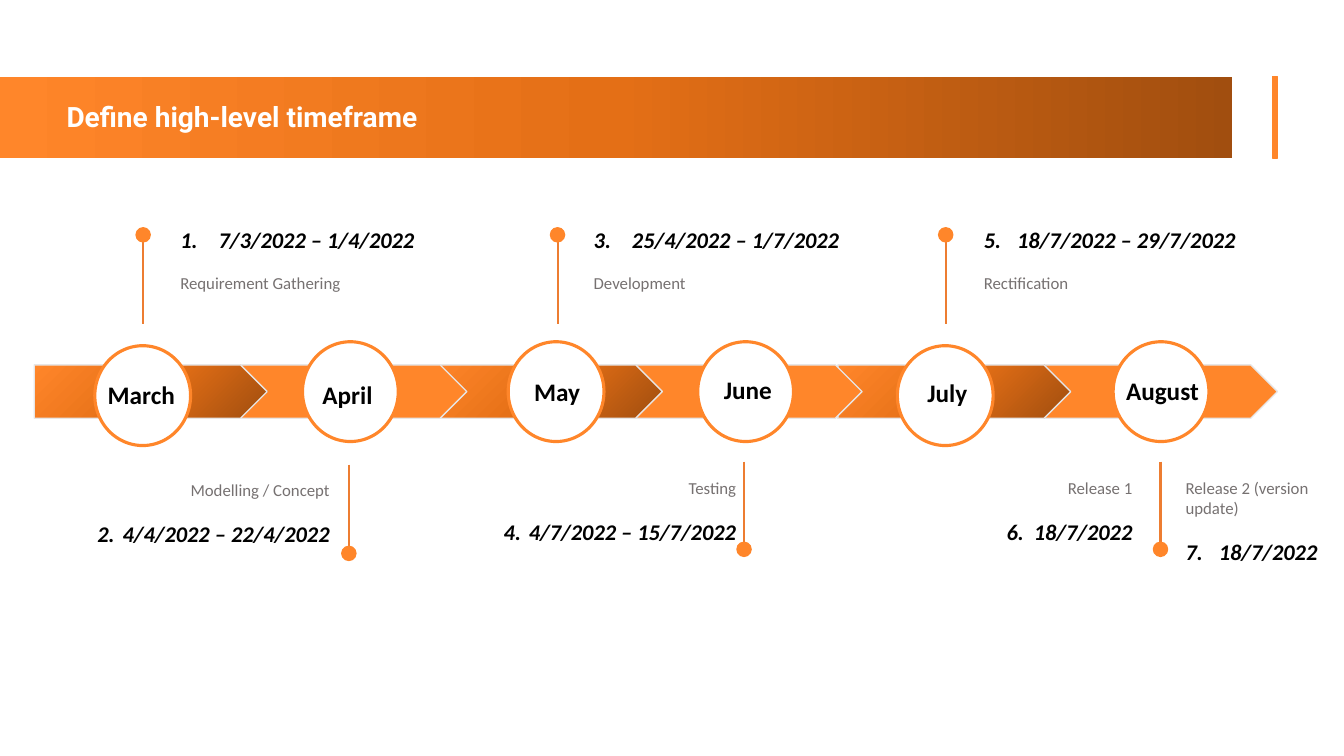
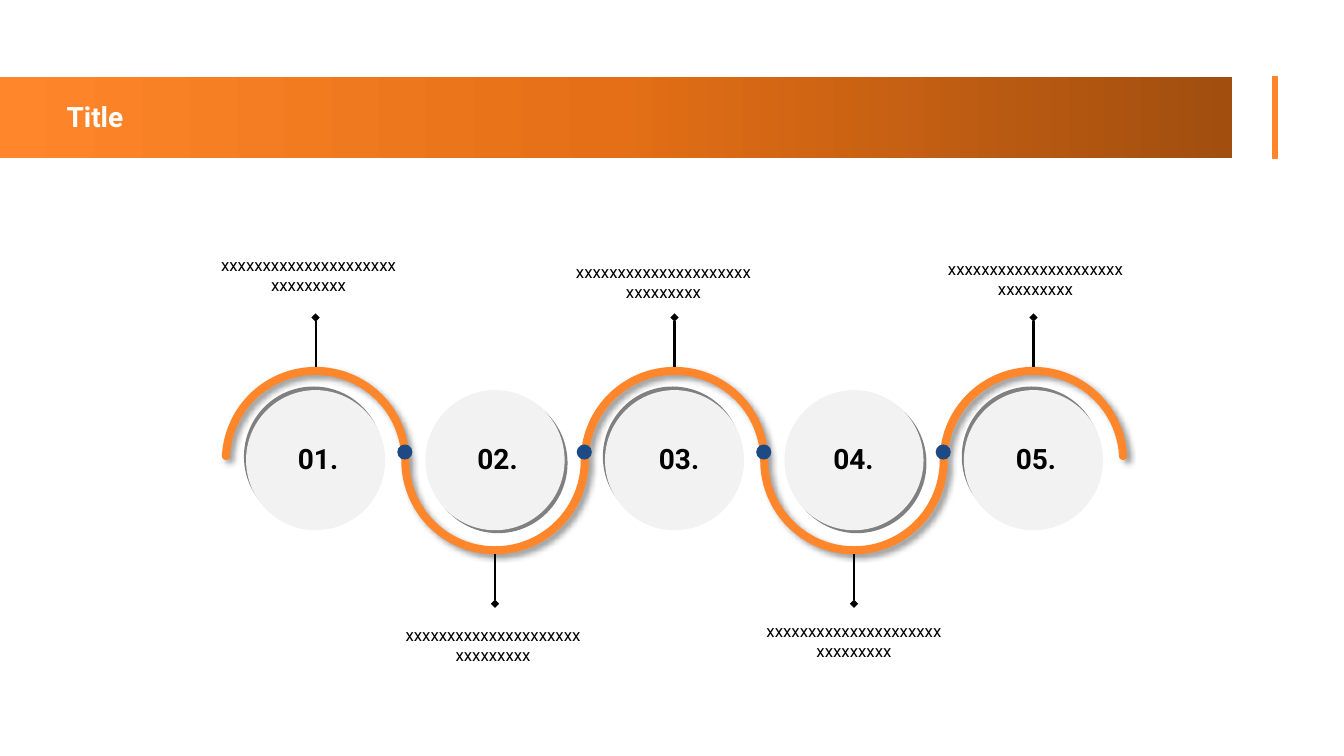
from math import cos, radians, sin

from lxml.etree import SubElement
from pptx import Presentation
from pptx.dml.color import RGBColor
from pptx.enum.shapes import MSO_CONNECTOR, MSO_SHAPE
from pptx.enum.text import MSO_ANCHOR, MSO_AUTO_SIZE, PP_ALIGN
from pptx.oxml.ns import qn
from pptx.util import Inches, Pt

ORANGE = RGBColor(0xFF, 0x86, 0x2A)
MID_ORANGE = RGBColor(0xE4, 0x6F, 0x16)
BROWN = RGBColor(0xA1, 0x4E, 0x0F)
STEM_ORANGE = RGBColor(0xED, 0x7D, 0x31)
WHITE = RGBColor(0xFF, 0xFF, 0xFF)
BLACK = RGBColor(0x00, 0x00, 0x00)
GRAY = RGBColor(0x76, 0x71, 0x71)
SHADOW_GRAY = RGBColor(0x80, 0x80, 0x80)
LIGHT_GRAY = RGBColor(0xF2, 0xF2, 0xF2)
EDGE_GRAY = RGBColor(0xE7, 0xE6, 0xE6)
BLUE = RGBColor(0x1D, 0x4A, 0x84)

BODY_FONT = "Calibri"
HEADING_FONT = "Roboto"
BLEND = ((0, ORANGE), (50, MID_ORANGE), (100, BROWN))

PITCH = 1.78
RIBBON_HALF_WIDTH = 0.04
TRIM = 3

MONTHS = (
    ("March", 0.34, (0.94, 3.43), (0.97, 3.71, 0.87)),
    ("April", 2.32, (3, 3.39), (3.1, 3.71, 0.7)),
    ("May", 4.26, (5.04, 3.39), (5.2, 3.68, 0.66)),
    ("June", 6.24, (6.92, 3.39), (7.08, 3.66, 0.68)),
    ("July", 8.31, (8.9, 3.43), (9.1, 3.69, 0.6)),
    ("August", 10.36, (11.04, 3.39), (11.07, 3.67, 0.93)),
)
PINS = (
    (1.42, 3.21, 2.33), (5.53, 3.21, 2.33), (9.38, 3.21, 2.33),
    (3.46, 4.61, 5.49), (7.38, 4.58, 5.45), (11.51, 4.58, 5.45),
)
MILESTONES = (
    ("7/3/2022 – 1/4/2022", "Requirement Gathering", (1.69, 2.19, 2.63), 0.38, True, PP_ALIGN.LEFT),
    ("4/4/2022 – 22/4/2022", "Modelling / Concept", (0.54, 4.71, 2.83), 0.25, False, PP_ALIGN.RIGHT),
    ("25/4/2022 – 1/7/2022", "Development", (5.79, 2.19, 2.76), 0.38, True, PP_ALIGN.LEFT),
    ("4/7/2022 – 15/7/2022", "Testing", (4.71, 4.69, 2.69), 0.25, False, PP_ALIGN.RIGHT),
    ("18/7/2022 – 29/7/2022", "Rectification", (9.66, 2.19, 2.97), 0.33, True, PP_ALIGN.LEFT),
    ("18/7/2022", "Release 1", (9.55, 4.69, 1.78), 0.27, False, PP_ALIGN.RIGHT),
    ("18/7/2022", "Release 2 (version update)", (11.66, 4.69, 1.65), 0.33, False, PP_ALIGN.LEFT),
)
STEPS = (
    ("01.", 2.75, (2.07, 2.48)),
    ("02.", 4.53, (3.9, 6.15)),
    ("03.", 6.33, (5.59, 2.55)),
    ("04.", 8.06, (7.48, 6.11)),
    ("05.", 9.87, (9.28, 2.52)),
)
STEP_CAPTION = "x" * 30


def write_text(paragraph, text, size=12, color=BLACK, font=BODY_FONT, bold=False,
               italic=False, alignment=PP_ALIGN.LEFT):
    """Put formatted text into a paragraph."""
    run = paragraph.add_run()
    run.text = text
    run.font.size = Pt(size)
    run.font.name = font
    run.font.bold = bold
    run.font.italic = italic
    run.font.color.rgb = color
    paragraph.alignment = alignment


def add_text_frame(slide, left, top, width, height, wrap=True):
    """Add a text box and return its frame."""
    box = slide.shapes.add_textbox(Inches(left), Inches(top), Inches(width), Inches(height))
    box.text_frame.word_wrap = wrap
    return box.text_frame


def number_paragraph(paragraph, number, indent):
    """Give a paragraph an automatic number and a hanging indent."""
    properties = paragraph._p.get_or_add_pPr()
    properties.set("marL", str(Inches(indent)))
    properties.set("indent", str(-Inches(indent)))
    SubElement(properties, qn("a:buFont"), typeface="+mj-lt")
    SubElement(properties, qn("a:buAutoNum"), type="arabicPeriod", startAt=str(number))


def set_gradient(shape, angle):
    """Fill a shape with the orange to brown blend."""
    shape.fill.gradient()
    gradient = shape.fill._xPr.find(qn("a:gradFill"))
    stops = gradient.find(qn("a:gsLst"))
    for stop in list(stops):
        stops.remove(stop)
    for position, color in BLEND:
        stop = SubElement(stops, qn("a:gs"), pos=str(position * 1000))
        SubElement(stop, qn("a:srgbClr"), val=str(color))
    gradient.find(qn("a:lin")).set("ang", str(angle * 60000))


def format_shape(shape, fill=None, line=None, line_width=1, angle=0):
    """Set fill and line; without a fill colour the blend is used."""
    shape.shadow.inherit = False
    if fill is None:
        set_gradient(shape, angle)
    else:
        shape.fill.solid()
        shape.fill.fore_color.rgb = fill
    if line is None:
        shape.line.fill.background()
    else:
        shape.line.color.rgb = line
        shape.line.width = Pt(line_width)


def add_shape(slide, kind, left, top, width, height, **style):
    """Add a formatted preset shape."""
    shape = slide.shapes.add_shape(kind, Inches(left), Inches(top), Inches(width), Inches(height))
    format_shape(shape, **style)
    return shape


def add_shadow(shape, color, opacity, blur, distance, direction):
    """Give a shape an outer shadow."""
    effects = shape._element.spPr.find(qn("a:effectLst"))
    shadow = SubElement(effects, qn("a:outerShdw"), blurRad=str(Pt(blur)), dist=str(Pt(distance)),
                        dir=str(direction * 60000), algn="ctr", rotWithShape="0")
    tint = SubElement(shadow, qn("a:srgbClr"), val=str(color))
    SubElement(tint, qn("a:alpha"), val=str(opacity * 1000))


def add_stem(slide, x, start, end, color, diamond=False):
    """Draw a vertical line, with a diamond at its end if asked."""
    stem = slide.shapes.add_connector(MSO_CONNECTOR.STRAIGHT, Inches(x), Inches(start),
                                      Inches(x), Inches(end))
    stem.line.color.rgb = color
    stem.line.width = Pt(1.5)
    if diamond:
        SubElement(stem.line._get_or_add_ln(), qn("a:tailEnd"), type="diamond")
    SubElement(stem._element.spPr, qn("a:effectLst"))


def add_titled_slide(presentation, title_text, top=0.76):
    """Add a slide with the title band and its accent bar."""
    slide = presentation.slides.add_slide(presentation.slide_layouts[5])
    add_shape(slide, MSO_SHAPE.RECTANGLE, 0, top, 12.22, 0.81)
    add_shape(slide, MSO_SHAPE.RECTANGLE, 12.62, top, 0.05, 0.81, fill=ORANGE, line=ORANGE)
    title = slide.shapes.title
    title.left, title.top = Inches(0.56), Inches(top + 0.18)
    title.width, title.height = Inches(11.11), Inches(0.44)
    frame = title.text_frame
    frame.auto_size = MSO_AUTO_SIZE.NONE
    frame.vertical_anchor = MSO_ANCHOR.TOP
    write_text(frame.paragraphs[0], title_text, size=20, color=WHITE, font=HEADING_FONT, bold=True)
    slide.shapes._spTree.append(title._element)
    return slide


def add_pin(slide, x, start, end, diameter=0.14):
    """Draw a stem that ends in a dot."""
    add_stem(slide, x, start, end, STEM_ORANGE)
    add_shape(slide, MSO_SHAPE.OVAL, x - diameter / 2, end - diameter / 2, diameter, diameter,
              fill=ORANGE, line=ORANGE)


def add_milestone(slide, box, number, dates, description, indent, dates_first, alignment):
    """Write numbered dates and a description in a box, in either order."""
    frame = add_text_frame(slide, *box, 0.77)
    first, second = frame.paragraphs[0], frame.add_paragraph()
    second.space_before = Pt(14.6)
    date_line, description_line = (first, second) if dates_first else (second, first)
    number_paragraph(date_line, number, indent)
    write_text(date_line, dates, size=16, bold=True, italic=True, alignment=alignment)
    write_text(description_line, description, color=GRAY, alignment=alignment)


def add_month_arrows(slide, top):
    """Draw the row of arrows from right to left, every other one blended."""
    for index, (_, left, _, _) in reversed(list(enumerate(MONTHS))):
        fill = ORANGE if index % 2 else None
        add_shape(slide, MSO_SHAPE.PENTAGON, left, top, 2.31, 0.53, fill=fill,
                  line=EDGE_GRAY, angle=45)


def add_month_circle(slide, name, circle_corner, label_box):
    """Draw a month's circle and its name."""
    add_shape(slide, MSO_SHAPE.OVAL, *circle_corner, 0.95, 0.99, fill=WHITE, line=ORANGE,
              line_width=2.25)
    frame = add_text_frame(slide, *label_box, 0.4, wrap=False)
    write_text(frame.paragraphs[0], name, size=18, bold=True)


def build_timeframe_slide(presentation):
    """Build the slide with the monthly timeline."""
    slide = add_titled_slide(presentation, "Define high-level timeframe")
    add_month_arrows(slide, 3.62)
    for name, _, circle_corner, label_box in MONTHS:
        add_month_circle(slide, name, circle_corner, label_box)
    for pin in PINS:
        add_pin(slide, *pin)
    for number, (dates, description, box, *layout) in enumerate(MILESTONES, start=1):
        add_milestone(slide, box, number, dates, description, *layout)


def arc_points(x, y, radius, start, end, count=48):
    """Return points along an arc, with angles in degrees clockwise."""
    angles = [radians(start + (end - start) * index / count) for index in range(count + 1)]
    return [(x + radius * cos(angle), y + radius * sin(angle)) for angle in angles]


def ribbon_edge(centers, middle, offset):
    """Return one edge of the ribbon, from left to right."""
    points = []
    for index, center in enumerate(centers):
        is_upper = index % 2 == 0
        radius = PITCH / 2 + (offset if is_upper else -offset)
        start = 180 + TRIM if index == 0 else 180
        end = 360 if is_upper else 0
        if index == len(centers) - 1:
            end -= TRIM
        points += arc_points(center, middle, radius, start, end)
    return points


def add_ribbon(slide, centers, middle):
    """Draw the winding ribbon with round ends."""
    reach = PITCH / 2 * cos(radians(TRIM))
    cap_top = middle - PITCH / 2 * sin(radians(TRIM))
    right_cap, left_cap = [arc_points(x, cap_top, RIBBON_HALF_WIDTH, 0, 180, 12)
                           for x in (centers[-1] + reach, centers[0] - reach)]
    outline = (ribbon_edge(centers, middle, RIBBON_HALF_WIDTH) + right_cap
               + ribbon_edge(centers, middle, -RIBBON_HALF_WIDTH)[::-1] + left_cap)
    points = [(Inches(x), Inches(y)) for x, y in outline]
    builder = slide.shapes.build_freeform(*points[0])
    builder.add_line_segments(points[1:], close=True)
    ribbon = builder.convert_to_shape()
    format_shape(ribbon, fill=ORANGE)
    add_shadow(ribbon, BLACK, 40, 4, 3, 45)


def add_step(slide, center, middle, is_upper, number, number_left, caption_corner):
    """Draw a step's disc, number, stem and caption."""
    disc = add_shape(slide, MSO_SHAPE.OVAL, center - 0.69, middle - 0.7, 1.38, 1.39,
                     fill=LIGHT_GRAY)
    add_shadow(disc, SHADOW_GRAY, 100, 0, 3, 240 if is_upper else 45)
    side = -1 if is_upper else 1
    add_stem(slide, center, middle + side * 0.93, middle + side * 1.42, BLACK, diamond=True)
    number_frame = add_text_frame(slide, number_left, middle - 0.3, 0.81, 0.6)
    number_frame.vertical_anchor = MSO_ANCHOR.MIDDLE
    number_frame.margin_top = number_frame.margin_bottom = Inches(0.1)
    paragraph = number_frame.paragraphs[0]
    paragraph.line_spacing = 0.9
    write_text(paragraph, number, size=20, font=HEADING_FONT, bold=True, alignment=PP_ALIGN.CENTER)
    caption_frame = add_text_frame(slide, *caption_corner, 1.98, 0.5)
    write_text(caption_frame.paragraphs[0], STEP_CAPTION, font=HEADING_FONT,
               alignment=PP_ALIGN.CENTER)


def build_steps_slide(presentation, left=3.13, middle=4.57):
    """Build the slide with five steps along a winding ribbon."""
    slide = add_titled_slide(presentation, "Title")
    centers = [left + PITCH * index for index in range(len(STEPS))]
    add_ribbon(slide, centers, middle)
    for index, (center, step) in enumerate(zip(centers, STEPS)):
        add_step(slide, center, middle, index % 2 == 0, *step)
    for center in centers[:-1]:
        add_shape(slide, MSO_SHAPE.OVAL, center + PITCH / 2 - 0.08, middle - 0.16, 0.15, 0.15,
                  fill=BLUE)


def main():
    """Build and save the presentation."""
    presentation = Presentation()
    presentation.slide_width, presentation.slide_height = Inches(13.33), Inches(7.5)
    build_timeframe_slide(presentation)
    build_steps_slide(presentation)
    presentation.save("out.pptx")


if __name__ == "__main__":
    main()
